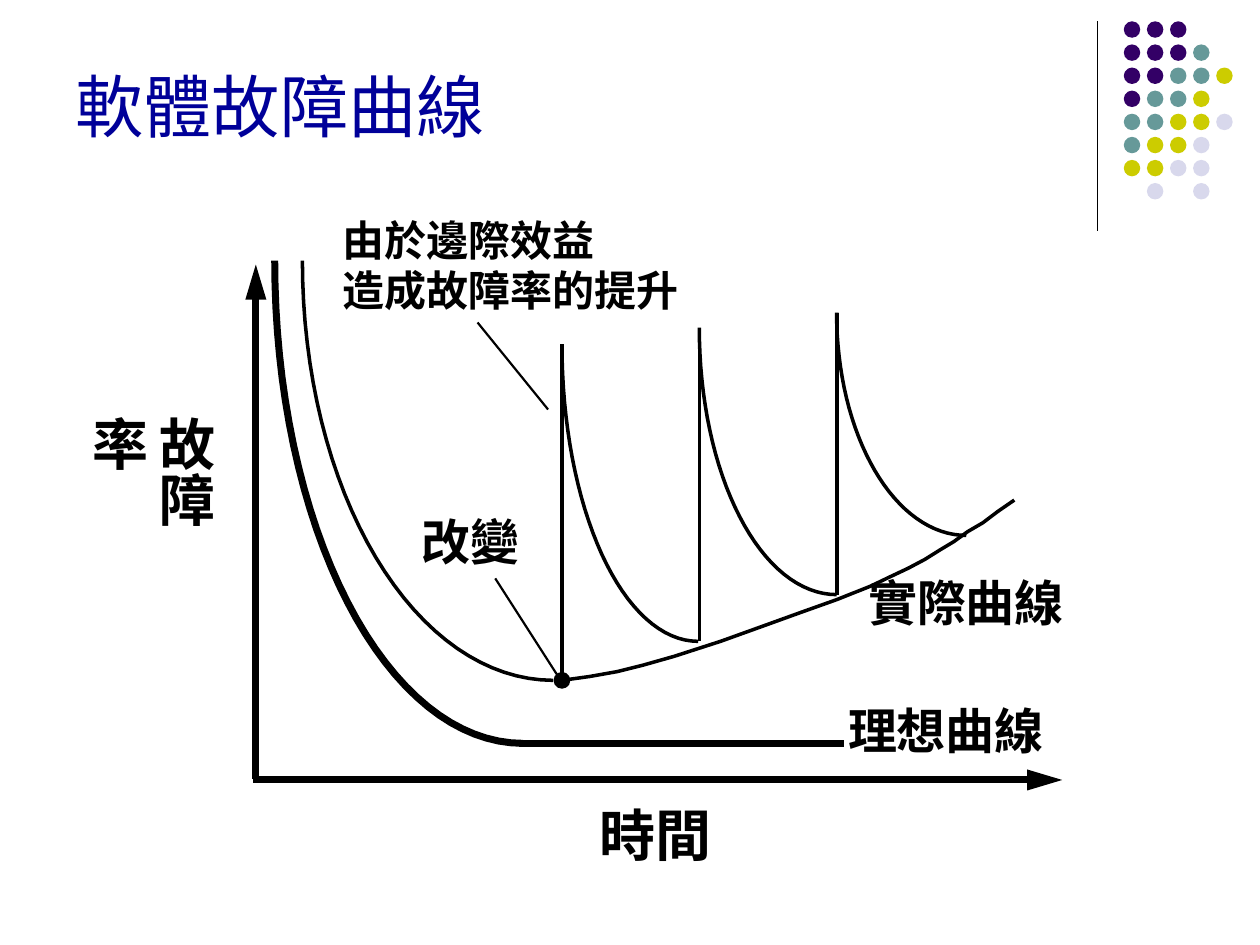
"""Build a slide that compares the ideal and the actual software failure curves."""
from math import cos, pi, sin

from lxml import etree
from pptx import Presentation
from pptx.dml.color import RGBColor
from pptx.enum.shapes import MSO_CONNECTOR, MSO_SHAPE
from pptx.enum.text import MSO_ANCHOR, MSO_AUTO_SIZE
from pptx.oxml.ns import qn
from pptx.util import Pt

STRAIGHT = MSO_CONNECTOR.STRAIGHT
OVAL = MSO_SHAPE.OVAL
MIDDLE = MSO_ANCHOR.MIDDLE
GROW = MSO_AUTO_SIZE.SHAPE_TO_FIT_TEXT

FONT = "Arial"
COLORS = {
    "ink": "000000",
    "title": "000099",
    "P": "330066",
    "T": "669999",
    "Y": "CCCC00",
    "L": "D8D8EC",
}

DOT_ROWS = ["PPP", "PPPT", "PPTTY", "PTTY", "TTYYL", "TYYL", "YYLL", " L L"]
DOT_LEFT, DOT_TOP, DOT_PITCH, DOT_SIZE = 642.2, 12.2, 13.2, 9.4

TITLE = ("軟體故障曲線", (36, 9.4, 584.6, 101.5), 39)
LABELS = [
    (["理想曲線"], (484.6, 400.3, 114, 33.8), 28),
    (["改變"], (240.8, 292.3, 58, 33.8), 28),
    (["實際曲線"], (496.1, 326.9, 114, 33.8), 28),
    (["時間"], (342.7, 457.2, 66, 38.2), 32),
    (["由於邊際效益", "造成故障率的提升"], (195.8, 122.4, 194, 57.6), 24),
]
FAILURE_RATE = ("故障率", (38.2, 218.9, 90.7, 102.2), 32)
FAILURE_RATE_TOP_MARGIN = 19.2

DIVIDER = (627.1, 12.2, 627.1, 131.8, 0.75)
AXES = [(146.2, 445, 146.2, 151.2, 4), (144.7, 445.7, 607, 445.7, 4)]
IDEAL_FLOOR = (296.6, 424.8, 482.4, 424.8, 4)
SPIKES = [
    (321.1, 386.6, 321.1, 196.6, 2),
    (399.6, 366.5, 399.6, 187.2, 2),
    (478.4, 339.8, 478.4, 178.6, 2),
]
POINTERS = [(283, 330.5, 319, 386.6, 1.25), (313.2, 234, 272.9, 184.3, 1.25)]
DECAYS = [
    (157, 149, 298.8, 424.8, 4),
    (172.8, 149, 316.1, 388.8, 2),
    (321.1, 196.6, 398.9, 366.5, 2),
    (399.6, 187.2, 478.1, 339.8, 2),
    (478.1, 178.6, 552.2, 306, 2),
]
DECAY_STEPS = 32
ACTUAL_TREND = [
    (321.1, 388.8), (337, 386.6), (352.8, 383.8), (367.2, 380.2),
    (385.2, 375.1), (411.8, 366.5), (434.9, 358.2), (457.9, 349.9),
    (478.1, 342.7), (497.5, 335), (508.3, 329.8), (519.1, 324.7),
    (528.5, 319.7), (537.8, 313.9), (545, 309.6), (553, 303.8),
    (561.6, 298.8), (570.2, 292.3), (579.6, 285.8),
]
CHANGE_POINT = (316.8, 384.5, 8.6)


def color(name):
    return RGBColor.from_string(COLORS[name])


def add_line(page, line, arrow=False):
    *ends, width = line
    connector = page.shapes.add_connector(STRAIGHT, *map(Pt, ends))
    connector.line.width = Pt(width)
    connector.line.color.rgb = color("ink")
    if arrow:
        outline = connector.line._get_or_add_ln()
        etree.SubElement(outline, qn("a:tailEnd"), type="triangle", w="med", len="lg")
    etree.SubElement(connector._element.spPr, qn("a:effectLst"))


def add_curve(page, points, width):
    start, *rest = [(Pt(x), Pt(y)) for x, y in points]
    builder = page.shapes.build_freeform(*start)
    builder.add_line_segments(rest, close=False)
    curve = builder.convert_to_shape()
    curve.shadow.inherit = False
    curve.fill.background()
    curve.line.color.rgb = color("ink")
    curve.line.width = Pt(width)


def decay_points(left, top, right, bottom):
    angles = [step * pi / 2 / DECAY_STEPS for step in range(DECAY_STEPS + 1)]
    return [
        (right - (right - left) * cos(angle), top + (bottom - top) * sin(angle))
        for angle in angles
    ]


def add_dot(shapes, left, top, size, name):
    dot = shapes.add_shape(OVAL, Pt(left), Pt(top), Pt(size), Pt(size))
    dot.shadow.inherit = False
    dot.fill.solid()
    dot.fill.fore_color.rgb = color(name)
    dot.line.fill.background()
    return dot


def add_text(page, lines, place, size, name="ink", bold=True, wrap=False, margins=(0, 0)):
    box = page.shapes.add_textbox(*map(Pt, place))
    frame = box.text_frame
    frame.word_wrap = wrap
    frame.margin_left = frame.margin_right = Pt(margins[0])
    frame.margin_top = frame.margin_bottom = Pt(margins[1])
    for index, line in enumerate(lines):
        para = frame.add_paragraph() if index else frame.paragraphs[0]
        span = para.add_run()
        span.text = line
        span.font.name = FONT
        span.font.size = Pt(size)
        span.font.bold = bold
        span.font.color.rgb = color(name)
    return frame


def main():
    deck = Presentation()
    deck.slide_width, deck.slide_height = Pt(720), Pt(540)
    page = deck.slides.add_slide(deck.slide_layouts[6])

    add_line(page, DIVIDER)
    dots = page.shapes.add_group_shape()
    for row, names in enumerate(DOT_ROWS):
        for column, name in enumerate(names):
            if name != " ":
                left, top = DOT_LEFT + column * DOT_PITCH, DOT_TOP + row * DOT_PITCH
                add_dot(dots.shapes, left, top, DOT_SIZE, name)

    text, place, size = TITLE
    title = add_text(page, [text], place, size, "title", False, True, (7.2, 3.6))
    title.vertical_anchor = MIDDLE

    for axis in AXES:
        add_line(page, axis, arrow=True)
    for *bounds, width in DECAYS:
        add_curve(page, decay_points(*bounds), width)
    for line in [IDEAL_FLOOR, *SPIKES, *POINTERS]:
        add_line(page, line)
    add_curve(page, ACTUAL_TREND, 2)
    change = add_dot(page.shapes, *CHANGE_POINT, "ink")
    change.line.color.rgb = color("ink")
    change.line.width = Pt(1)

    for lines, place, size in LABELS:
        add_text(page, lines, place, size).auto_size = GROW
    text, place, size = FAILURE_RATE
    rate = add_text(page, [text], place, size, wrap=True, margins=(3.6, 7.2))
    rate.margin_top = Pt(FAILURE_RATE_TOP_MARGIN)
    rate._txBody.bodyPr.set("vert", "eaVert")

    deck.save("out.pptx")


if __name__ == "__main__":
    main()
